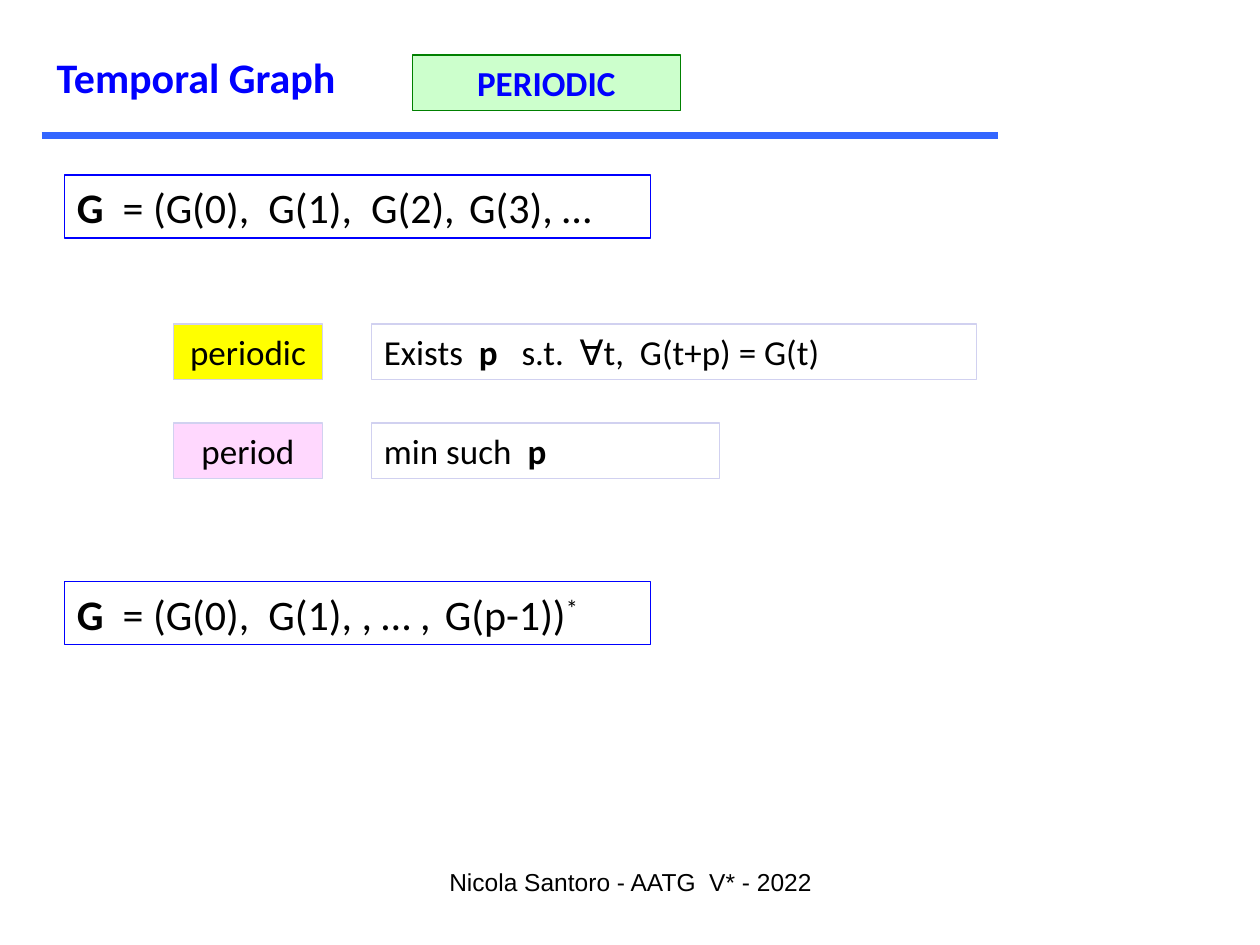
import pptx
import pptx.dml.color
import pptx.enum.shapes
import pptx.enum.text
import pptx.oxml
import pptx.oxml.ns
import pptx.util

Cm = pptx.util.Cm
Pt = pptx.util.Pt
ALIGN = pptx.enum.text.PP_ALIGN

COLORS = {
    "text": "000000",
    "blue": "0000FF",
    "rule": "3366FF",
    "green_fill": "CCFFCC",
    "green_line": "008000",
    "lavender": "D1D1F0",
    "yellow": "FFFF00",
    "pink": "FFD8FE",
}


def rgb(name):
    """Return the named palette colour."""
    return pptx.dml.color.RGBColor.from_string(COLORS[name])


def write_text(shape, runs, size=20, font="Calibri", color="text", bold=False,
               align=ALIGN.LEFT, wrap=True):
    """Write runs, each a string or a (string, overrides) pair, into a shape."""
    frame = shape.text_frame
    frame.word_wrap = wrap
    frame.auto_size = pptx.enum.text.MSO_AUTO_SIZE.NONE
    frame.vertical_anchor = pptx.enum.text.MSO_ANCHOR.TOP
    paragraph = frame.paragraphs[0]
    paragraph.alignment = align
    paragraph.space_before = Pt(0)
    for item in runs:
        text, changes = (item, {}) if isinstance(item, str) else item
        run = paragraph.add_run()
        run.text = text
        run.font.name = font
        run.font.size = Pt(changes.get("size", size))
        run.font.bold = changes.get("bold", bold)
        run.font.color.rgb = rgb(color)
        if "baseline" in changes:
            run._r.get_or_add_rPr().set("baseline", str(changes["baseline"] * 1000))


def add_box(slide, left, top, width, height, runs, line, fill=None, **text_format):
    """Add an outlined rectangle holding text."""
    shape = slide.shapes.add_shape(
        pptx.enum.shapes.MSO_SHAPE.RECTANGLE, Cm(left), Cm(top), Cm(width), Cm(height))
    shape.shadow.inherit = False
    if fill:
        shape.fill.solid()
        shape.fill.fore_color.rgb = rgb(fill)
    else:
        shape.fill.background()
    shape.line.color.rgb = rgb(line)
    shape.line.width = Pt(0.75)
    write_text(shape, runs, **text_format)


def add_header(slide, left, top, width):
    """Add the title, the topic tag and the rule beneath them."""
    title = slide.shapes.title
    title.left, title.top = Cm(left + 0.05), Cm(top)
    title.width, title.height = Cm(6.3), Cm(1.27)
    write_text(title, ["Temporal Graph"], size=24, color="blue", bold=True, wrap=False)
    add_box(slide, left + 7.47, top + 0.2, 5.41, 1.12, ["PERIODIC"],
            line="green_line", fill="green_fill", color="blue", bold=True,
            align=ALIGN.CENTER)
    rule = slide.shapes.add_connector(
        pptx.enum.shapes.MSO_CONNECTOR.STRAIGHT,
        Cm(left), Cm(top + 1.83), Cm(left + width), Cm(top + 1.83))
    rule.line.color.rgb = rgb("rule")
    rule.line.width = Pt(4)
    rule._element.spPr.append(
        pptx.oxml.parse_xml(f'<a:effectLst {pptx.oxml.ns.nsdecls("a")}/>'))


def add_formula(slide, left, top, terms):
    """Add a framed formula that defines the graph G."""
    add_box(slide, left, top, 11.81, 1.27, [("G", {"bold": True}), *terms],
            line="blue", size=24)


def add_definition(slide, left, top, term, fill, meaning, meaning_width):
    """Add a coloured term with its meaning beside it."""
    add_box(slide, left, top, 3, 1.12, [term], line="lavender", fill=fill,
            align=ALIGN.CENTER)
    add_box(slide, left + 3.99, top, meaning_width, 1.12, meaning, line="lavender")


def add_footer(slide, left, top, width, height):
    """Add the centred footer line."""
    footer = slide.shapes.add_textbox(Cm(left), Cm(top), Cm(width), Cm(height))
    write_text(footer, ["Nicola Santoro - AATG  V* - 2022"], size=14, font="Arial",
               align=ALIGN.CENTER)


def main():
    """Build and save the slide."""
    presentation = pptx.Presentation()
    presentation.slide_width, presentation.slide_height = Cm(25.4), Cm(19.05)
    slide = presentation.slides.add_slide(presentation.slide_layouts[5])
    gap = ("  ", {"size": 18})
    bold = {"bold": True}

    add_header(slide, 0.84, 0.91, 19.28)
    add_formula(slide, 1.3, 3.53, ["  = (G(0),  G(1),  G(2),", gap, "G(3), …"])
    definitions = [
        ("periodic", "yellow",
         ["Exists  ", ("p   ", bold), "s.t.  ∀t,  G(t+p) = G(t)"], 12.19),
        ("period", "pink", ["min such  ", ("p", bold)], 7.01),
    ]
    for row, definition in enumerate(definitions):
        add_definition(slide, 3.5, 6.53 + 2 * row, *definition)
    add_formula(slide, 1.3, 11.73,
                ["  = (G(0),  G(1), , … ,", gap, "G(p-1))", ("*", {"baseline": 30})])
    add_footer(slide, 8.69, 17.35, 8.05, 1.27)

    presentation.save("out.pptx")


if __name__ == "__main__":
    main()
